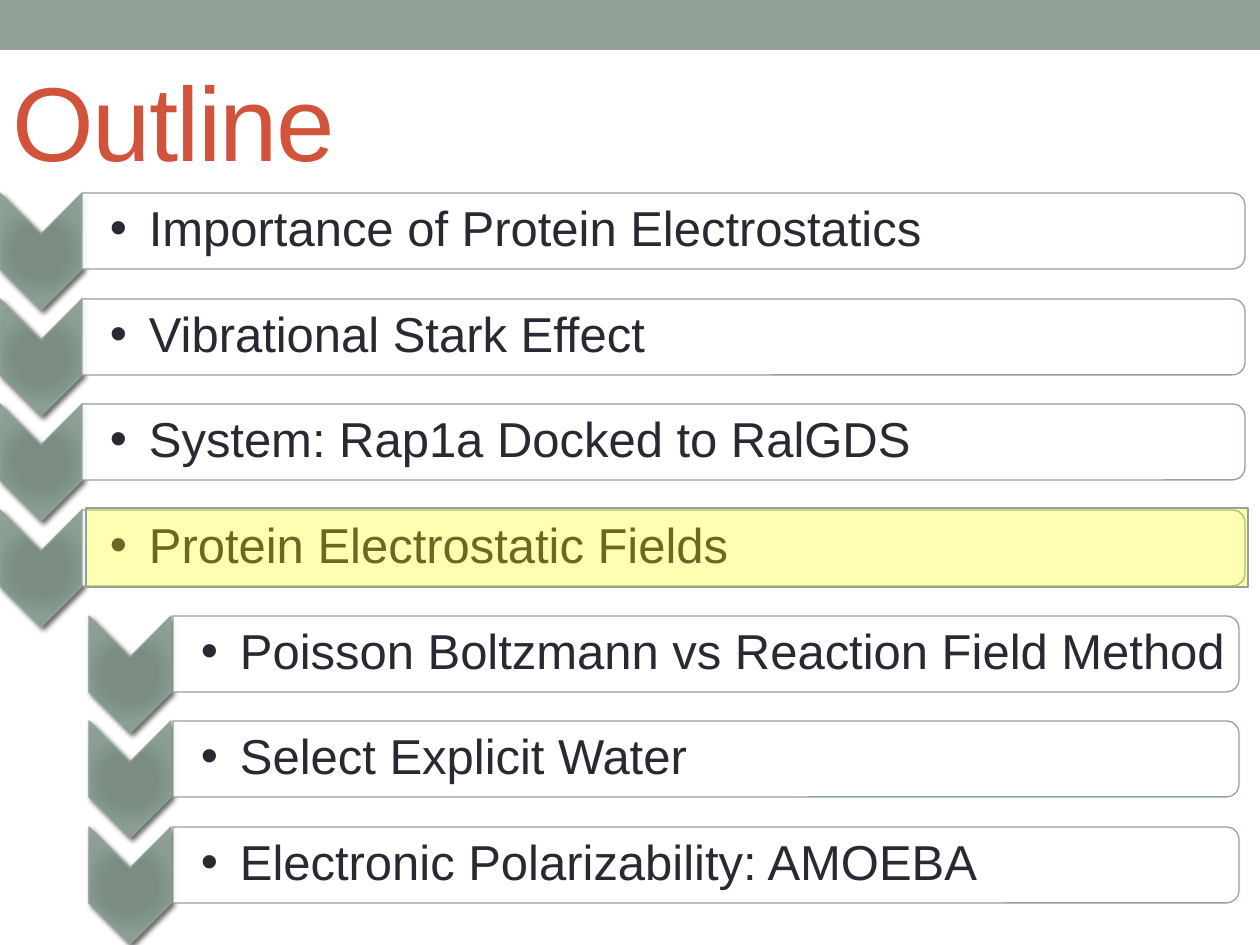
import pptx
import pptx.dml.color
import pptx.enum.shapes
import pptx.enum.text
import pptx.oxml
import pptx.oxml.ns
import pptx.util

PX = 914400 / 126
SHAPE = pptx.enum.shapes.MSO_SHAPE
MIDDLE = pptx.enum.text.MSO_ANCHOR.MIDDLE
NS = pptx.oxml.ns.nsdecls("a")
COLORS = {
    "sage": "93A299",
    "sage_mid": "8A9E92",
    "sage_dark": "7B8D83",
    "sage_core": "7B8E82",
    "title": "D2533C",
    "text": "292934",
    "bar": "FFFFFF",
    "highlight": "FFFF00",
    "shadow": "000000",
}
TOPICS = [
    ("Importance of Protein Electrostatics", 0),
    ("Vibrational Stark Effect", 0),
    ("System: Rap1a Docked to RalGDS", 0),
    ("Protein Electrostatic Fields", 0),
    ("Poisson Boltzmann vs Reaction Field Method", 1),
    ("Select Explicit Water", 1),
    ("Electronic Polarizability: AMOEBA", 1),
]
# Left of the chevron, left of the bar and width of the bar for each level
LEVELS = [(0, 82, 1163), (89, 173, 1066)]
FIRST_TOP, LAST_TOP = 193, 827
BAR_HEIGHT = 76
CHEVRON_WIDTH, CHEVRON_HEIGHT = 82, 117
CURRENT_TOPIC = 3


def emu(*lengths):
    return [pptx.util.Emu(round(length * PX)) for length in lengths]


def rgb(name):
    return pptx.dml.color.RGBColor.from_string(COLORS[name])


def add_plain(slide, kind, box, fill, line="sage", alpha=None):
    """Add a shape with a flat fill, which may be partly transparent (alpha in percent)."""
    shape = slide.shapes.add_shape(kind, *emu(*box))
    shape.shadow.inherit = False
    shape.fill.solid()
    shape.fill.fore_color.rgb = rgb(fill)
    if alpha is not None:
        color = shape._element.spPr.find(".//" + pptx.oxml.ns.qn("a:srgbClr"))
        color.append(pptx.oxml.parse_xml(f'<a:alpha {NS} val="{alpha * 1000}"/>'))
    shape.line.color.rgb = rgb(line)
    shape.line.width = pptx.util.Pt(0.75)
    return shape


def turned(left, top, width, height):
    """Box that covers the given one after a quarter turn."""
    shift = (width - height) / 2
    return left + shift, top - shift, height, width


def add_chevron(slide, left, top):
    box = turned(left, top, CHEVRON_WIDTH, CHEVRON_HEIGHT)
    chevron = add_plain(slide, SHAPE.CHEVRON, box, "sage")
    chevron.rotation = 90
    stops = [(0, "sage_core"), (34, "sage_dark"), (70, "sage_mid"), (100, "sage")]
    stops_xml = "".join(
        f'<a:gs pos="{pos * 1000}"><a:srgbClr val="{COLORS[name]}"/></a:gs>'
        for pos, name in stops)
    gradient = pptx.oxml.parse_xml(
        f'<a:gradFill {NS} rotWithShape="1"><a:gsLst>{stops_xml}</a:gsLst>'
        '<a:path path="circle"><a:fillToRect l="50000" t="50000" r="50000" b="50000"/>'
        '</a:path></a:gradFill>')
    properties = chevron._element.spPr
    properties.replace(properties.find(pptx.oxml.ns.qn("a:solidFill")), gradient)
    properties.find(pptx.oxml.ns.qn("a:effectLst")).append(pptx.oxml.parse_xml(
        f'<a:outerShdw {NS} blurRad="38100" dist="25400" dir="2700000" rotWithShape="0">'
        f'<a:srgbClr val="{COLORS["shadow"]}"><a:alpha val="60000"/></a:srgbClr>'
        '</a:outerShdw>'))


def add_topic(slide, topic, level, top):
    chevron_left, left, width = LEVELS[level]
    add_chevron(slide, chevron_left, top)
    bar_box = turned(left, top, width, BAR_HEIGHT)
    bar = add_plain(slide, SHAPE.ROUND_2_SAME_RECTANGLE, bar_box, "bar", alpha=90)
    bar.rotation = 90

    label = slide.shapes.add_textbox(*emu(left, top + 3, width - 4, BAR_HEIGHT - 6))
    frame = label.text_frame
    frame.word_wrap = True
    frame.vertical_anchor = MIDDLE
    frame.margin_left, frame.margin_right = emu(28, 2)
    frame.margin_top, frame.margin_bottom = emu(2, 2)
    paragraph = frame.paragraphs[0]
    paragraph.text = topic
    paragraph.line_spacing = 0.9
    indent = emu(39)[0]
    layout = paragraph._p.get_or_add_pPr()
    layout.set("marL", str(indent))
    layout.set("indent", str(-indent))
    layout.append(pptx.oxml.parse_xml(f'<a:buFont {NS} typeface="Arial"/>'))
    layout.append(pptx.oxml.parse_xml(f'<a:buChar {NS} char="•"/>'))
    set_font(paragraph, 28, "text")


def set_font(paragraph, size, color):
    paragraph.font.name = "Arial"
    paragraph.font.size = pptx.util.Pt(size)
    paragraph.font.color.rgb = rgb(color)


def add_outline(slide):
    pitch = (LAST_TOP - FIRST_TOP) / (len(TOPICS) - 1)
    for row, (topic, level) in enumerate(TOPICS):
        add_topic(slide, topic, level, round(FIRST_TOP + row * pitch))
    top = round(FIRST_TOP + CURRENT_TOPIC * pitch)
    highlight_box = (86, top - 2, 1162, BAR_HEIGHT + 3)
    add_plain(slide, SHAPE.RECTANGLE, highlight_box, "highlight", alpha=30)


def add_header(slide):
    band = add_plain(slide, SHAPE.RECTANGLE, (0, 0, 1260, 50), "sage")
    band.line.fill.background()
    title = slide.shapes.title
    title.left, title.top, title.width, title.height = emu(0, 52, 1197, 135)
    frame = title.text_frame
    frame.text = "Outline"
    frame.auto_size = pptx.enum.text.MSO_AUTO_SIZE.NONE
    frame.vertical_anchor = MIDDLE
    paragraph = frame.paragraphs[0]
    paragraph.alignment = pptx.enum.text.PP_ALIGN.LEFT
    set_font(paragraph, 60, "title")
    paragraph.runs[0]._r.get_or_add_rPr().set("spc", "-100")


def main():
    deck = pptx.Presentation()
    deck.slide_width, deck.slide_height = emu(1260, 945)
    slide = deck.slides.add_slide(deck.slide_layouts[5])
    add_header(slide)
    add_outline(slide)
    deck.save("out.pptx")


if __name__ == "__main__":
    main()
